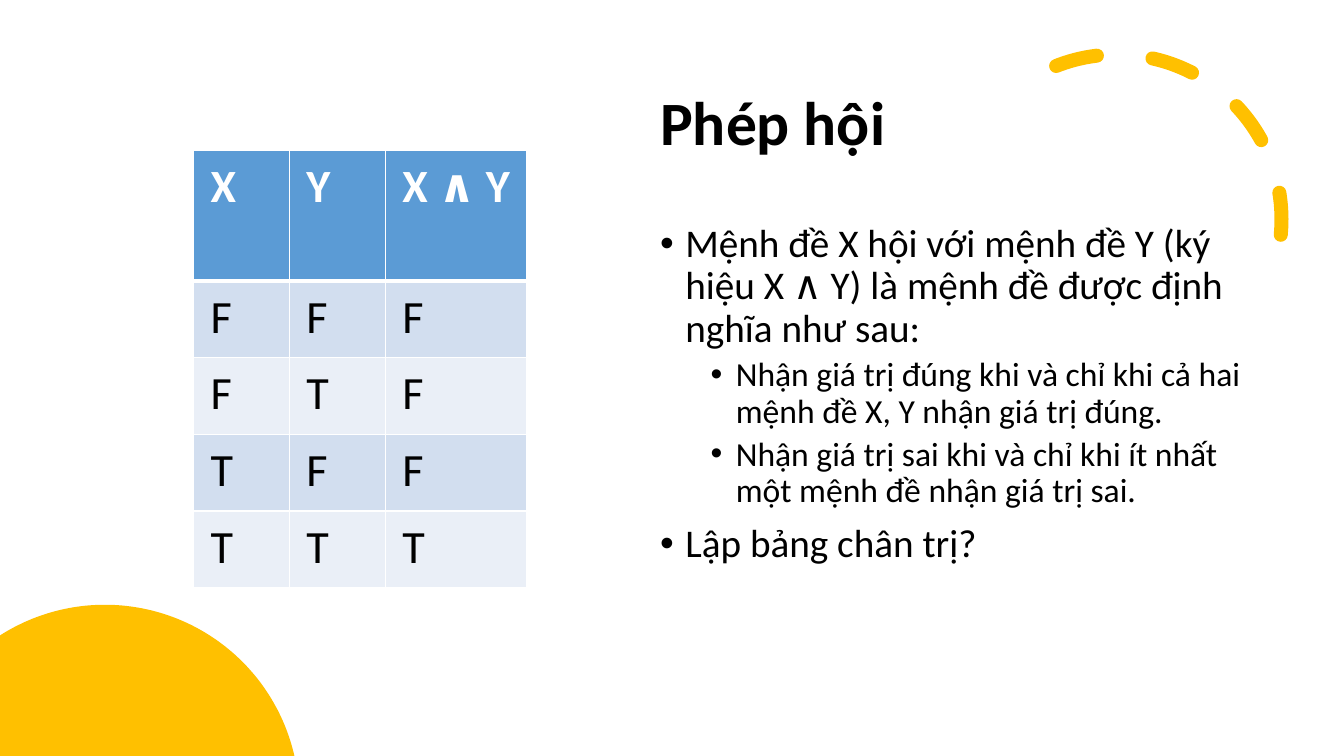
import math
from dataclasses import dataclass

from pptx import Presentation
from pptx.dml.color import RGBColor
from pptx.enum.dml import MSO_LINE
from pptx.enum.shapes import MSO_SHAPE
from pptx.enum.text import MSO_ANCHOR
from pptx.oxml import parse_xml
from pptx.oxml.ns import nsdecls, qn
from pptx.util import Inches, Pt

ARC = MSO_SHAPE.ARC
DASH = MSO_LINE.DASH
MIDDLE = MSO_ANCHOR.MIDDLE
BLANK_LAYOUT = 6


@dataclass(frozen=True)
class Theme:
    font: str = "Calibri"
    text: str = "000000"
    white: str = "FFFFFF"
    accent: str = "FFC000"
    header: str = "5B9BD5"
    bands: tuple = ("D2DEEF", "EAEFF7")
    title_size: int = 44
    table_size: int = 33
    body_sizes: tuple = (28, 24)
    body_gaps: tuple = (10, 5)
    arc_width: int = 10


THEME = Theme()

TRUTH_TABLE = [
    ("X", "Y", "X ∧ Y"),
    ("F", "F", "F"),
    ("F", "T", "F"),
    ("T", "F", "F"),
    ("T", "T", "T"),
]
BODY = [
    (0, "Mệnh đề X hội với mệnh đề Y (ký hiệu X ∧ Y) là mệnh đề được định nghĩa như sau:"),
    (1, "Nhận giá trị đúng khi và chỉ khi cả hai mệnh đề X, Y nhận giá trị đúng."),
    (1, "Nhận giá trị sai khi và chỉ khi ít nhất một mệnh đề nhận giá trị sai."),
    (0, "Lập bảng chân trị?"),
]


def color(value):
    return RGBColor.from_string(value)


def style(para, size, value=THEME.text, bold=False):
    para.font.name = THEME.font
    para.font.size = Pt(size)
    para.font.bold = bold
    para.font.color.rgb = color(value)


def add_text_frame(page, box):
    frame = page.shapes.add_textbox(*map(Inches, box)).text_frame
    frame.word_wrap = True
    return frame


def add_dashed_arc(page, box):
    arc = page.shapes.add_shape(ARC, *map(Inches, box))
    arc.shadow.inherit = False
    arc.adjustments[0] = 144.42
    arc.adjustments[1] = 0
    arc.rotation = 66.1
    arc.element.spPr.find(qn("a:xfrm")).set("flipH", "1")
    arc.fill.background()
    arc.line.color.rgb = color(THEME.accent)
    arc.line.width = Pt(THEME.arc_width)
    arc.line.dash_style = DASH
    arc.element.spPr.find(qn("a:ln")).set("cap", "rnd")


def add_corner_circle(page, box, steps=90):
    """Draw the part of a circle that rises from the slide's lower left corner."""
    left, top, width, height = box
    center_x = left + 1.04
    reach = width - 1.04
    radius = (reach ** 2 + height ** 2) / (2 * height)
    center_y = top + radius
    start = -math.acos((left - center_x) / radius)
    end = math.asin((height - radius) / radius)
    angles = [start + (end - start) * step / steps for step in range(steps + 1)]
    points = [
        (Inches(center_x + radius * math.cos(angle)), Inches(center_y + radius * math.sin(angle)))
        for angle in angles
    ]
    builder = page.shapes.build_freeform(Inches(left), Inches(top + height))
    builder.add_line_segments(points, close=True)
    circle = builder.convert_to_shape()
    circle.shadow.inherit = False
    circle.fill.solid()
    circle.fill.fore_color.rgb = color(THEME.accent)
    circle.line.fill.background()


def add_title(page, box, text):
    frame = add_text_frame(page, box)
    frame.vertical_anchor = MIDDLE
    para = frame.paragraphs[0]
    para.text = text
    para.line_spacing = 0.9
    style(para, THEME.title_size, bold=True)


def add_body(page, box, items):
    frame = add_text_frame(page, box)
    for index, (level, text) in enumerate(items):
        para = frame.paragraphs[0] if index == 0 else frame.add_paragraph()
        para.text = text
        para.level = level
        para.line_spacing = 0.9
        para.space_before = Pt(THEME.body_gaps[level] if index else 0)
        properties = para._p.get_or_add_pPr()
        properties.set("marL", str(Inches(0.25 + 0.5 * level)))
        properties.set("indent", str(Inches(-0.25)))
        properties.append(parse_xml(f'<a:buFont {nsdecls("a")} typeface="Arial"/>'))
        properties.append(parse_xml(f'<a:buChar {nsdecls("a")} char="•"/>'))
        style(para, THEME.body_sizes[level])


def add_borders(cell, top, bottom):
    properties = cell._tc.get_or_add_tcPr()
    for side, width in (("L", 1), ("R", 1), ("T", top), ("B", bottom)):
        properties.append(parse_xml(
            f'<a:ln{side} {nsdecls("a")} w="{Pt(width)}"><a:solidFill>'
            f'<a:srgbClr val="{THEME.white}"/></a:solidFill></a:ln{side}>'
        ))


def add_truth_table(page, box, rows):
    table = page.shapes.add_table(len(rows), len(rows[0]), *map(Inches, box)).table
    table.horz_banding = False
    for column, width in zip(table.columns, (0.95, 0.95, 1.4)):
        column.width = Inches(width)
    for row_index, values in enumerate(rows):
        is_header = row_index == 0
        table.rows[row_index].height = Inches(1.3 if is_header else 0.76)
        fill = THEME.header if is_header else THEME.bands[(row_index - 1) % 2]
        for column_index, value in enumerate(values):
            cell = table.cell(row_index, column_index)
            cell.margin_left = Inches(0.17)
            cell.margin_right = Inches(0.1)
            cell.margin_top = cell.margin_bottom = Inches(0.08)
            add_borders(cell, 3 if row_index == 1 else 1, 3 if is_header else 1)
            cell.fill.solid()
            cell.fill.fore_color.rgb = color(fill)
            para = cell.text_frame.paragraphs[0]
            para.text = value
            style(para, THEME.table_size, THEME.white if is_header else THEME.text, is_header)


def main():
    deck = Presentation()
    deck.slide_width, deck.slide_height = Inches(13.33), Inches(7.5)
    page = deck.slides.add_slide(deck.slide_layouts[BLANK_LAYOUT])
    add_dashed_arc(page, (9.44, 0.54, 3.27, 3.27))
    add_title(page, (6.45, 0.52, 5.97, 1.45), "Phép hội")
    add_corner_circle(page, (0, 6, 2.92, 1.5))
    add_body(page, (6.45, 2.17, 5.97, 4.58), BODY)
    add_truth_table(page, (1.92, 1.49, 3.3, 4.34), TRUTH_TABLE)
    deck.save("out.pptx")


if __name__ == "__main__":
    main()
